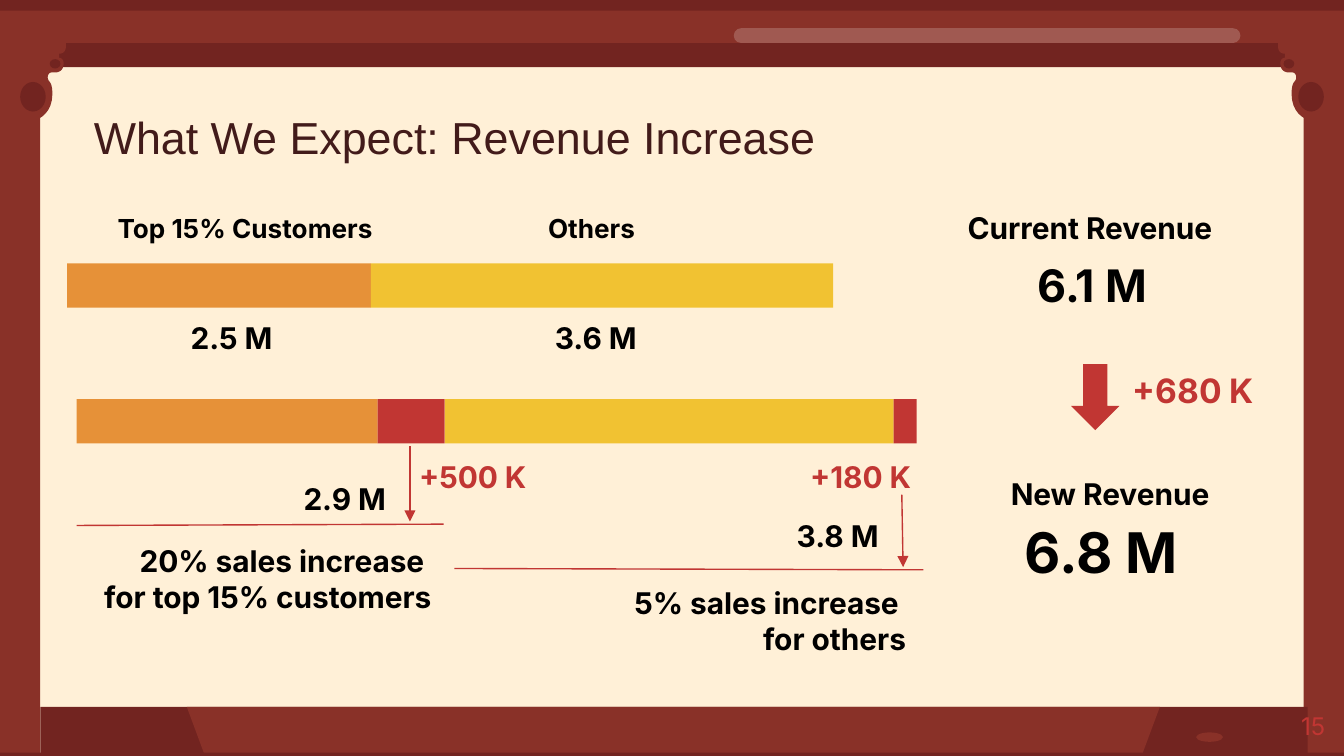
from lxml.etree import SubElement
from pptx import Presentation
from pptx.dml.color import RGBColor
from pptx.enum.shapes import MSO_CONNECTOR, MSO_SHAPE
from pptx.enum.text import MSO_ANCHOR, PP_ALIGN
from pptx.oxml.ns import qn
from pptx.util import Inches, Pt

CREAM = RGBColor(0xFF, 0xF0, 0xD7)
BROWN = RGBColor(0x89, 0x31, 0x28)
DARK_BROWN = RGBColor(0x72, 0x24, 0x20)
HIGHLIGHT = RGBColor(0xFF, 0xFC, 0xF7)
TITLE_COLOR = RGBColor(0x42, 0x1B, 0x1A)
BLACK = RGBColor(0, 0, 0)
RED = RGBColor(0xC1, 0x36, 0x33)
ORANGE = RGBColor(0xE6, 0x91, 0x38)
YELLOW = RGBColor(0xF1, 0xC2, 0x32)

WIDTH, HEIGHT = 10, 5.625
CENTER, RIGHT = PP_ALIGN.CENTER, PP_ALIGN.RIGHT

# Left corner ornament: 2 numbers are a straight step, 6 are a cubic curve
CORNER_START = (0.49, 0.29)
CORNER_STEPS = [
    (0.49, 0.35), (0.49, 0.38, 0.47, 0.40, 0.44, 0.40), (0.44, 0.43),
    (0.47, 0.43, 0.48, 0.47, 0.47, 0.49), (0.47, 0.52, 0.44, 0.54, 0.41, 0.54),
    (0.38, 0.54), (0.36, 0.54, 0.34, 0.58, 0.37, 0.61),
    (0.38, 0.62, 0.39, 0.65, 0.39, 0.70), (0.39, 0.83, 0.30, 0.89, 0.26, 0.89),
    (0.26, 0.97), (0.14, 0.97, 0.15, 1.17, 0.22, 1.17),
    (0.22, 1.22), (0, 1.22), (0, 0.29),
]


def trace(start, steps, pieces=8):
    """Turn straight and curved steps into a list of points."""
    points = [start]
    for step in steps:
        if len(step) == 2:
            points.append(step)
            continue
        x0, y0 = points[-1]
        x1, y1, x2, y2, x3, y3 = step
        for index in range(1, pieces + 1):
            t = index / pieces
            a, b, c, d = (1 - t) ** 3, 3 * t * (1 - t) ** 2, 3 * t * t * (1 - t), t ** 3
            points.append((a * x0 + b * x1 + c * x2 + d * x3,
                           a * y0 + b * y1 + c * y2 + d * y3))
    return points


def write_text(text_frame, text, size=16, font="Inter", color=BLACK, bold=True, align=None):
    for index, line in enumerate(text.split("\n")):
        paragraph = text_frame.paragraphs[0] if index == 0 else text_frame.add_paragraph()
        paragraph.alignment = align
        run = paragraph.add_run()
        run.text = line
        run.font.size = Pt(size)
        run.font.name = font
        run.font.bold = bold
        run.font.color.rgb = color


class SlideBuilder:
    def __init__(self, slide, line_color=RED, line_width=0.75, inset=0.1):
        self.slide = slide
        self.line_color = line_color
        self.line_width = Pt(line_width)
        self.inset = Inches(inset)

    def background(self, color):
        fill = self.slide.background.fill
        fill.solid()
        fill.fore_color.rgb = color

    def paint(self, shape, color):
        shape.shadow.inherit = False
        shape.fill.solid()
        shape.fill.fore_color.rgb = color
        shape.line.fill.background()
        return shape

    def shape(self, left, top, width, height, color, kind=MSO_SHAPE.RECTANGLE):
        shape = self.slide.shapes.add_shape(
            kind, Inches(left), Inches(top), Inches(width), Inches(height))
        return self.paint(shape, color)

    def outline(self, points, color):
        corners = [(Inches(x), Inches(y)) for x, y in points]
        builder = self.slide.shapes.build_freeform(*corners[0])
        builder.add_line_segments(corners[1:], close=True)
        return self.paint(builder.convert_to_shape(), color)

    def text(self, left, top, width, height, text, anchor=MSO_ANCHOR.TOP, **style):
        box = self.slide.shapes.add_textbox(
            Inches(left), Inches(top), Inches(width), Inches(height))
        frame = box.text_frame
        frame.word_wrap = True
        frame.vertical_anchor = anchor
        frame.margin_left = frame.margin_right = self.inset
        frame.margin_top = frame.margin_bottom = self.inset
        write_text(frame, text, **style)

    def line(self, start_x, start_y, end_x, end_y, arrow=False):
        connector = self.slide.shapes.add_connector(
            MSO_CONNECTOR.STRAIGHT, Inches(start_x), Inches(start_y),
            Inches(end_x), Inches(end_y))
        connector.line.color.rgb = self.line_color
        connector.line.width = self.line_width
        if arrow:
            SubElement(connector.line._get_or_add_ln(), qn("a:tailEnd"), type="triangle")
        SubElement(connector._element.spPr, qn("a:effectLst"))


def draw_frame(builder):
    # Sides and bottom ledge
    for left in (0, 9.7):
        builder.shape(left, 0.28, 0.3, HEIGHT - 0.28, BROWN)
    builder.shape(0.3, 5.26, 9.43, 0.35, DARK_BROWN)
    builder.outline([(8.63, 5.26), (8.5, 5.61), (1.52, 5.61), (1.39, 5.26)], BROWN)
    builder.shape(8.9, 5.45, 0.2, 0.07, BROWN, MSO_SHAPE.OVAL)
    builder.shape(0, 5.6, WIDTH, HEIGHT - 5.6, DARK_BROWN)

    # Top bands
    builder.shape(0, 0.27, WIDTH, 0.23, DARK_BROWN)
    builder.shape(0, 0.04, WIDTH, 0.28, BROWN)
    builder.shape(0, 0, WIDTH, 0.08, DARK_BROWN)
    shine = builder.shape(5.46, 0.21, 3.77, 0.11, HIGHLIGHT, MSO_SHAPE.ROUNDED_RECTANGLE)
    shine.adjustments[0] = 0.5
    color = shine.fill._xPr.find(qn("a:solidFill"))[0]
    SubElement(color, qn("a:alpha"), val="20000")

    # Corner ornaments, the right one mirrored
    corner = trace(CORNER_START, CORNER_STEPS)
    builder.outline(corner, BROWN)
    builder.outline([(WIDTH - x, y) for x, y in corner], BROWN)
    for left, top, width, height in ((0.15, 0.61, 0.19, 0.22), (0.37, 0.44, 0.08, 0.07)):
        for x in (left, WIDTH - left - width):
            builder.shape(x, top, width, height, DARK_BROWN, MSO_SHAPE.OVAL)


def draw_current_revenue(builder):
    builder.shape(0.5, 1.96, 2.26, 0.33, ORANGE)
    builder.shape(2.76, 1.96, 3.44, 0.33, YELLOW)
    builder.text(0.66, 1.48, 2.33, 0.44, "Top 15% Customers", size=14, align=CENTER)
    builder.text(3.98, 1.48, 0.9, 0.44, "Others", size=14)
    builder.text(1.32, 2.28, 0.82, 0.47, "2.5 M")
    builder.text(4.03, 2.28, 0.89, 0.47, "3.6 M")
    builder.text(6.79, 1.46, 2.33, 0.47, "Current Revenue", align=RIGHT)
    builder.text(7.62, 1.82, 1.1, 0.61, "6.1 M", size=24)


def draw_new_revenue(builder):
    # Bar with the two increases in red
    for left, right, color in ((0.57, 2.81, ORANGE), (2.81, 3.31, RED),
                               (3.31, 6.65, YELLOW), (6.65, 6.82, RED)):
        builder.shape(left, 2.97, right - left, 0.33, color)

    # Top customers
    builder.text(2.16, 3.48, 0.89, 0.47, "2.9 M")
    builder.text(3.02, 3.31, 1.13, 0.47, "+500 K", color=RED)
    builder.line(3.05, 3.32, 3.05, 3.88, arrow=True)
    builder.line(0.57, 3.91, 3.3, 3.9)
    builder.text(0.56, 3.94, 2.75, 0.74,
                 "20% sales increase \nfor top 15% customers", align=RIGHT)

    # Other customers
    builder.text(5.83, 3.75, 0.93, 0.47, "3.8 M")
    builder.text(5.93, 3.31, 1, 0.47, "+180 K", color=RED)
    builder.line(6.71, 3.68, 6.72, 4.22, arrow=True)
    builder.line(3.38, 4.23, 6.87, 4.24)
    builder.text(4.56, 4.25, 2.28, 0.74, "5% sales increase \nfor others", align=RIGHT)

    # Total
    builder.shape(7.97, 2.71, 0.36, 0.49, RED, MSO_SHAPE.DOWN_ARROW)
    builder.text(8.33, 2.65, 1.29, 0.5, "+680 K", size=18, color=RED)
    builder.text(7.29, 3.44, 1.94, 0.47, "New Revenue", align=CENTER)
    builder.text(7.2, 3.75, 1.99, 0.71, "6.8 M", size=30, align=CENTER)


def main():
    presentation = Presentation()
    presentation.slide_width = Inches(WIDTH)
    presentation.slide_height = Inches(HEIGHT)
    builder = SlideBuilder(presentation.slides.add_slide(presentation.slide_layouts[6]))
    builder.background(CREAM)
    draw_frame(builder)

    # Slide number and title
    builder.text(9.36, 5.19, 0.6, 0.43, "15", size=13, color=RED, bold=False, align=RIGHT)
    builder.text(0.6, 0.75, 6.27, 0.54, "What We Expect: Revenue Increase",
                 anchor=MSO_ANCHOR.MIDDLE, size=24, font="Arial",
                 color=TITLE_COLOR, bold=False)

    draw_current_revenue(builder)
    draw_new_revenue(builder)
    presentation.save("out.pptx")


if __name__ == "__main__":
    main()
